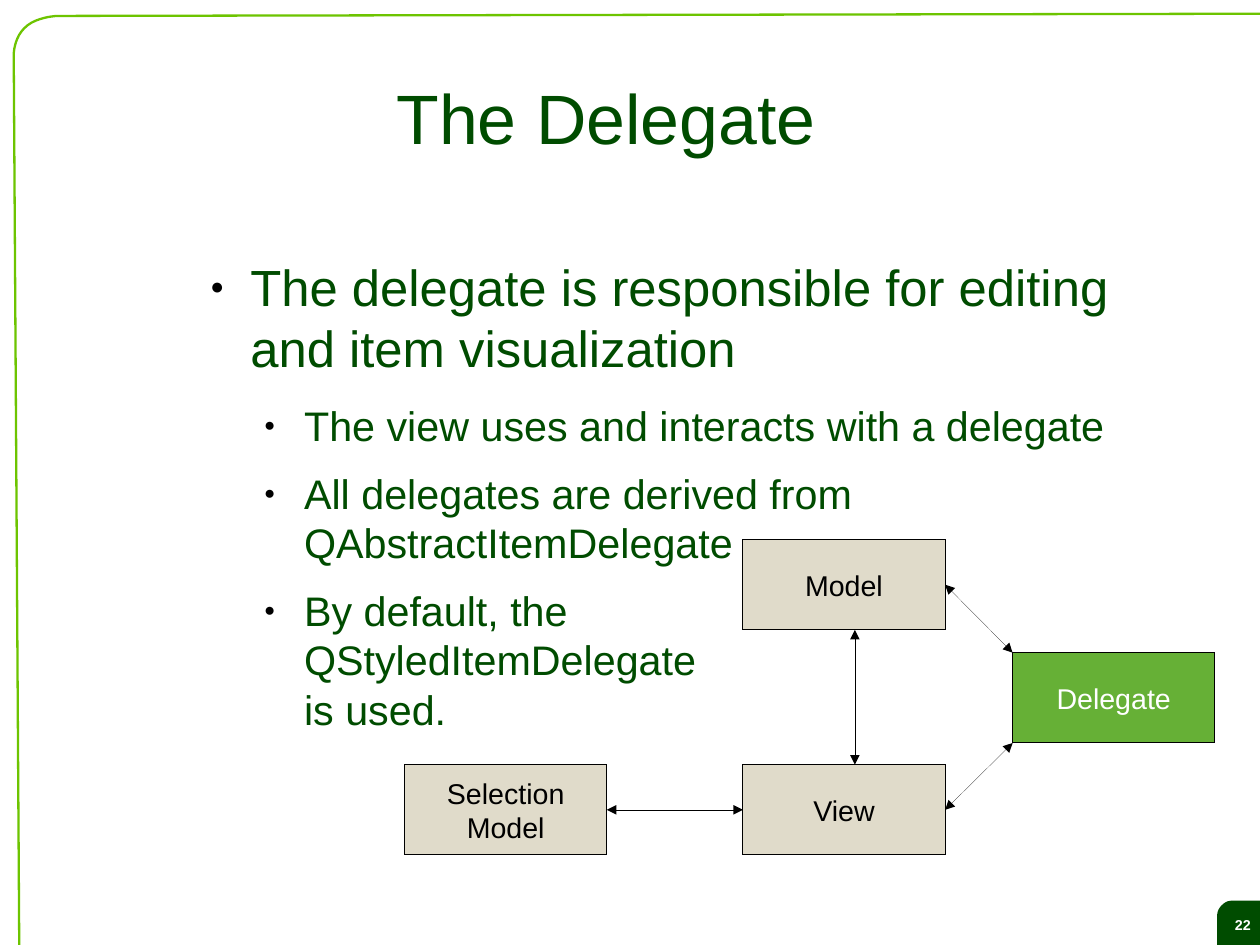
import pptx
import pptx.dml.color
import pptx.enum.shapes
import pptx.enum.text
import pptx.oxml.ns
import pptx.util
from lxml import etree

Inches = pptx.util.Inches
Pt = pptx.util.Pt
ALIGN = pptx.enum.text.PP_ALIGN
ANCHOR = pptx.enum.text.MSO_ANCHOR

COLORS = {
    "dark": "004C00",
    "frame": "6DC400",
    "sand": "E0DBCA",
    "green": "66B036",
    "black": "000000",
    "white": "FFFFFF",
}
PAGE_SIZE = (Pt(793.75), Pt(595.25))
TITLE = "The Delegate"
PAGE_NUMBER = "22"
BULLETS = [
    (0, "The delegate is responsible for editing and item visualization"),
    (1, "The view uses and interacts with a delegate"),
    (1, "All delegates are derived from QAbstractItemDelegate"),
    (1, "By default, the \nQStyledItemDelegate \nis used."),
]
LEVELS = [
    {"size": 32, "after": 14.2, "indent": 0.47},
    {"size": 26, "after": 11.3, "indent": 0.94},
]
BOX_WIDTH, BOX_HEIGHT = 1.77, 0.79
BOXES = {
    "model": (6.5, 4.72, ["Model"], "sand", "black"),
    "view": (6.5, 6.69, ["View"], "sand", "black"),
    "delegate": (8.86, 5.71, ["Delegate"], "green", "white"),
    "selection": (3.54, 6.69, ["Selection", "Model"], "sand", "black"),
}
ARROWS = [
    ((5.31, 7.09), (6.5, 7.09), ("selection", 3), ("view", 1)),
    ((7.48, 6.69), (7.48, 5.51), None, None),
    ((8.27, 7.09), (8.86, 6.5), ("view", 3), None),
    ((8.86, 5.71), (8.27, 5.12), None, ("model", 3)),
]
FRAME_CORNER = [(0.5, 0.14), (0.49, 0.14), (0.3, 0.15), (0.21, 0.25),
                (0.12, 0.34), (0.12, 0.48), (0.12, 0.48)]
TAB_CORNER = [(10.65, 8.01), (10.65, 8), (10.65, 7.96), (10.69, 7.92),
              (10.73, 7.88), (10.76, 7.88), (10.8, 7.88)]


def rgb(name):
    return pptx.dml.color.RGBColor.from_string(COLORS[name])


def write(frame, lines, size, color, bold=False, align=ALIGN.CENTER,
          anchor=ANCHOR.MIDDLE, inset=(0, 0)):
    frame.word_wrap = True
    frame.vertical_anchor = anchor
    frame.margin_left = frame.margin_right = Inches(inset[0])
    frame.margin_top = frame.margin_bottom = Inches(inset[1])
    for index, line in enumerate(lines):
        para = frame.add_paragraph() if index else frame.paragraphs[0]
        para.text = line
        para.alignment = align
        para.font.size = Pt(size)
        for span in para.runs:
            span.font.name = "Arial"
            span.font.size = Pt(size)
            span.font.bold = bold
            span.font.color.rgb = rgb(color)


def add_xml(parent, tag, **attributes):
    return etree.SubElement(parent, pptx.oxml.ns.qn(tag), **attributes)


def add_bullet(para, level):
    style = LEVELS[level]
    para.level = level
    para.space_after = Pt(style["after"])
    for span in para.runs:
        span.font.size = Pt(style["size"])
    props = para._p.get_or_add_pPr()
    props.set("marL", str(Inches(style["indent"])))
    props.set("indent", str(Inches(-0.35)))
    add_xml(add_xml(props, "a:buClr"), "a:srgbClr", val=COLORS["black"])
    add_xml(props, "a:buSzPct", val="45000")
    add_xml(props, "a:buFont", typeface="Arial")
    add_xml(props, "a:buChar", char="●")


def curve(points, steps=10):
    traced = [points[0]]
    for first in range(0, len(points) - 1, 3):
        a, b, c, d = points[first:first + 4]
        for step in range(1, steps + 1):
            t = step / steps
            u = 1 - t
            traced.append(tuple(
                u ** 3 * a[k] + 3 * u * u * t * b[k]
                + 3 * u * t * t * c[k] + t ** 3 * d[k] for k in (0, 1)))
    return traced


def add_outline(page, points, close):
    scaled = [(Inches(x), Inches(y)) for x, y in points]
    builder = page.shapes.build_freeform(*scaled[0], scale=1.0)
    builder.add_line_segments(scaled[1:], close=close)
    outline = builder.convert_to_shape()
    outline.shadow.inherit = False
    return outline


def add_text(page, left, top, width, height):
    return page.shapes.add_textbox(
        Inches(left), Inches(top), Inches(width), Inches(height)).text_frame


def set_hairline(shape):
    shape.line.color.rgb = rgb("black")
    hairline = shape.line._get_or_add_ln()
    hairline.set("w", "0")
    return hairline


def add_box(page, left, top, lines, fill, color):
    box = page.shapes.add_shape(
        pptx.enum.shapes.MSO_SHAPE.RECTANGLE, Inches(left), Inches(top),
        Inches(BOX_WIDTH), Inches(BOX_HEIGHT))
    box.shadow.inherit = False
    box.fill.solid()
    box.fill.fore_color.rgb = rgb(fill)
    set_hairline(box)
    write(box.text_frame, lines, 18, color, inset=(0.1, 0.05))
    return box


def add_arrow(page, boxes, start, end, start_joint, end_joint):
    arrow = page.shapes.add_connector(
        pptx.enum.shapes.MSO_CONNECTOR.STRAIGHT,
        *(Inches(value) for value in start + end))
    if start_joint:
        arrow.begin_connect(boxes[start_joint[0]], start_joint[1])
    if end_joint:
        arrow.end_connect(boxes[end_joint[0]], end_joint[1])
    hairline = set_hairline(arrow)
    for tag in ("a:headEnd", "a:tailEnd"):
        add_xml(hairline, tag, type="triangle")
    add_xml(arrow._element.spPr, "a:effectLst")


def main():
    deck = pptx.Presentation()
    deck.slide_width, deck.slide_height = PAGE_SIZE
    page = deck.slides.add_slide(deck.slide_layouts[6])

    tab = add_outline(
        page, curve(TAB_CORNER) + [(11.1, 7.88), (11.1, 8.31), (10.65, 8.31)], True)
    tab.fill.solid()
    tab.fill.fore_color.rgb = rgb("dark")
    tab.line.fill.background()
    write(tab.text_frame, [PAGE_NUMBER], 9, "white", bold=True, inset=(0.11, 0.06))

    border = add_outline(
        page, [(11.27, 0.12)] + curve(FRAME_CORNER) + [(0.17, 8.55)], False)
    border.fill.background()
    border.line.color.rgb = rgb("frame")
    border.line.width = Pt(1.45)

    write(add_text(page, 1.72, 0.33, 7.17, 1.38), [TITLE], 44, "dark")
    boxes = {name: add_box(page, *details) for name, details in BOXES.items()}
    for arrow in ARROWS:
        add_arrow(page, boxes, *arrow)

    body = add_text(page, 1.72, 2.24, 8.79, 3.93)
    write(body, [text for level, text in BULLETS], 26, "dark",
          align=ALIGN.LEFT, anchor=ANCHOR.TOP)
    for para, (level, text) in zip(body.paragraphs, BULLETS):
        add_bullet(para, level)

    deck.save("out.pptx")


if __name__ == "__main__":
    main()
